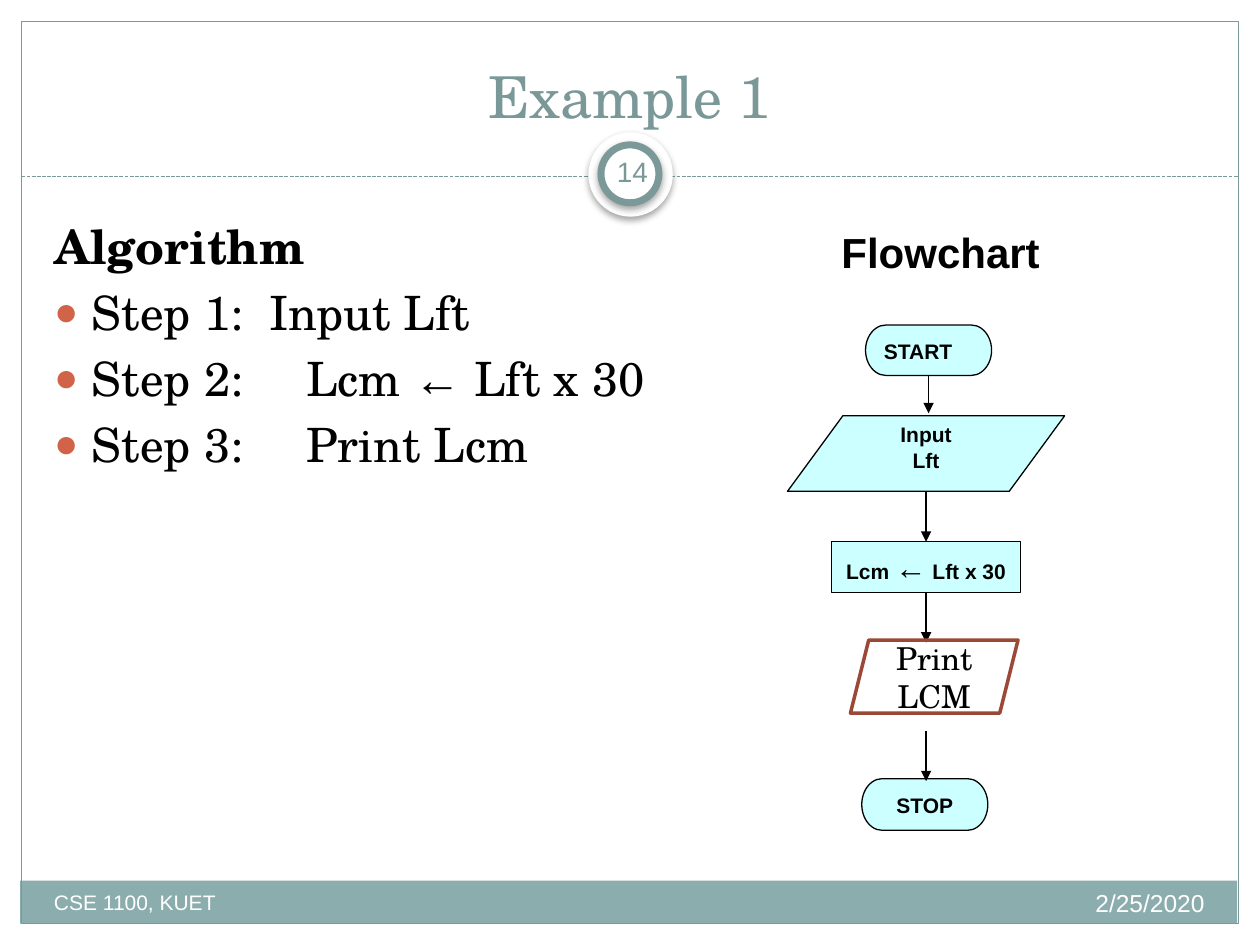
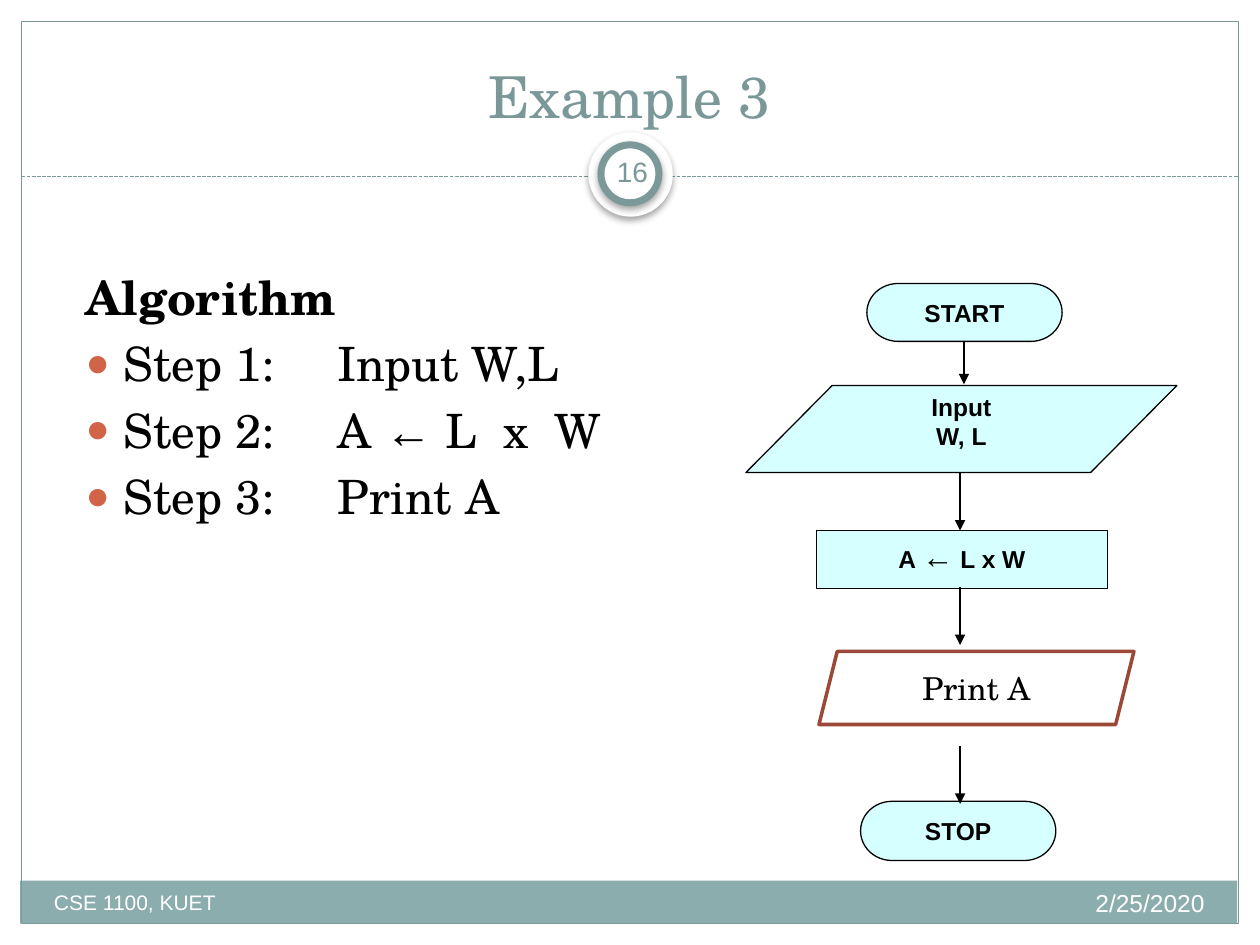
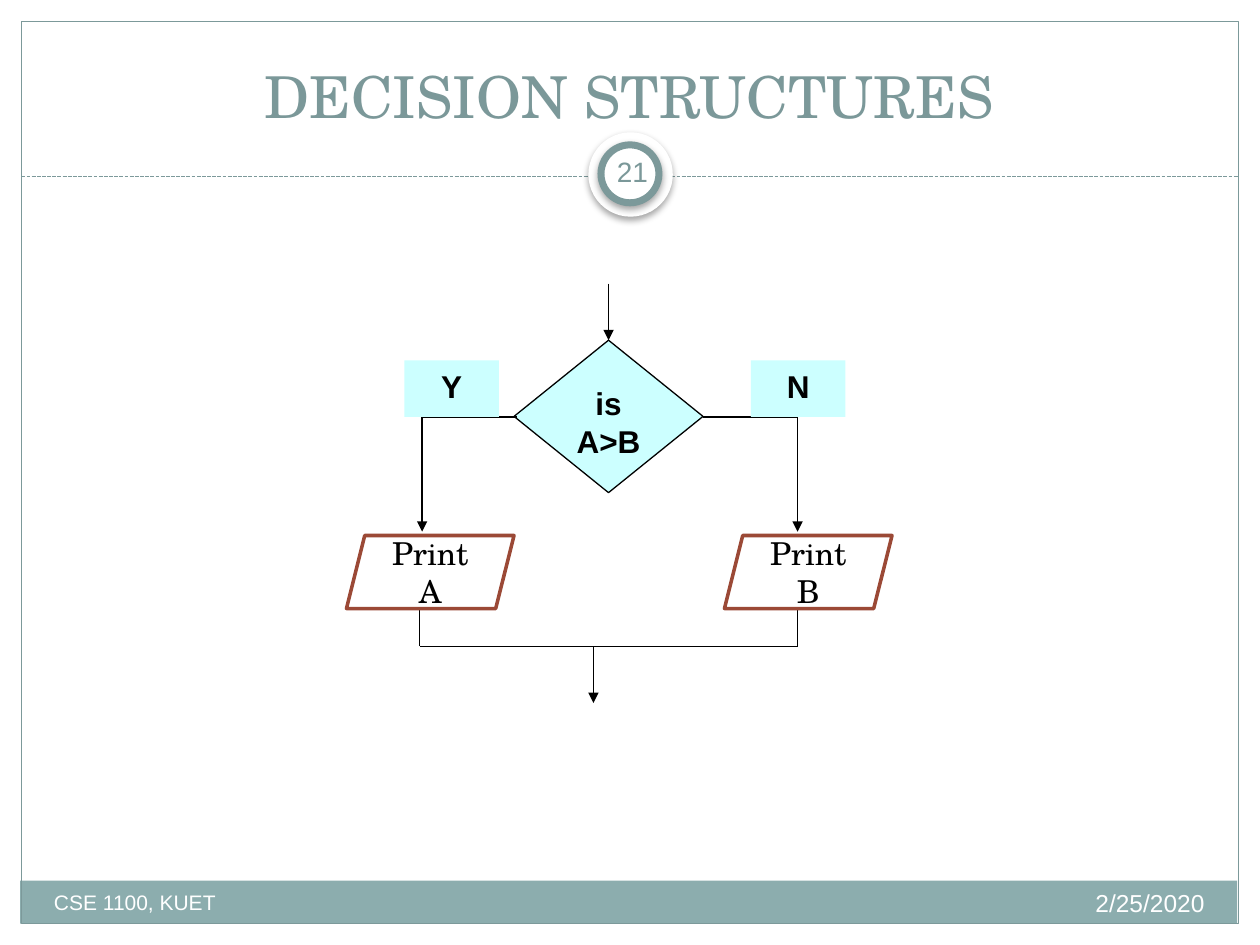
from lxml.etree import SubElement
from pptx import Presentation
from pptx.dml.color import RGBColor
from pptx.enum.dml import MSO_LINE
from pptx.enum.shapes import MSO_CONNECTOR, MSO_SHAPE
from pptx.enum.text import MSO_ANCHOR, MSO_AUTO_SIZE, PP_ALIGN
from pptx.oxml.ns import qn
from pptx.util import Inches, Pt

SERIF = "TeX Gyre Schola"
SANS = "Arial"
BLACK = "000000"
WHITE = "FFFFFF"
FRAME = "7C999A"
TITLE = "7B9899"
BAND = "8CADAE"
BULLET = "D16349"
NODE = "CCFFFF"
PRINT_EDGE = "9B4936"
ASSIGN = "←"


def color(hex_code):
    return RGBColor.from_string(hex_code)


def box(left, top, width, height):
    return [Inches(length) for length in (left, top, width, height)]


def write_text(frame, text, font=SANS, size=12, ink=BLACK, bold=False,
               arrow_size=None, align=PP_ALIGN.CENTER, anchor=MSO_ANCHOR.TOP,
               before=0):
    frame.word_wrap = True
    frame.auto_size = MSO_AUTO_SIZE.NONE
    frame.vertical_anchor = anchor
    for index, line in enumerate(text.split("\n")):
        paragraph = frame.paragraphs[0] if index == 0 else frame.add_paragraph()
        paragraph.alignment = align
        paragraph.space_before = Pt(before)
        for part in line.partition(ASSIGN):
            if not part:
                continue
            is_arrow = part == ASSIGN
            run = paragraph.add_run()
            run.text = part
            run.font.name = SANS if is_arrow else font
            run.font.size = Pt(arrow_size or size) if is_arrow else Pt(size)
            run.font.bold = bold and not is_arrow
            run.font.color.rgb = color(ink)


def add_label(slide, place, text, **style):
    label = slide.shapes.add_textbox(*box(*place))
    write_text(label.text_frame, text, **style)
    return label


def add_block(slide, preset, place, fill=None, edge=None, weight=0.75,
              opacity=100, text="", **style):
    block = slide.shapes.add_shape(preset, *box(*place))
    block.shadow.inherit = False
    if fill:
        block.fill.solid()
        block.fill.fore_color.rgb = color(fill)
        if opacity < 100:
            tint = block.element.spPr.find(qn("a:solidFill")).find(qn("a:srgbClr"))
            SubElement(tint, qn("a:alpha"), val=str(opacity * 1000))
    else:
        block.fill.background()
    if edge:
        block.line.color.rgb = color(edge)
        block.line.width = Pt(weight)
    else:
        block.line.fill.background()
    if text:
        write_text(block.text_frame, text, **style)
    return block


def add_line(slide, start, end, ink=BLACK, arrow=False, dash=None):
    line = slide.shapes.add_connector(
        MSO_CONNECTOR.STRAIGHT, *[Inches(length) for length in (*start, *end)])
    line.line.color.rgb = color(ink)
    line.line.width = Pt(0.75)
    if dash:
        line.line.dash_style = dash
    if arrow:
        SubElement(line.line._get_or_add_ln(), qn("a:tailEnd"), type="triangle")
    SubElement(line.element.spPr, qn("a:effectLst"))
    return line


def add_soft_shadow(block):
    effects = block.element.spPr.find(qn("a:effectLst"))
    shadow = SubElement(effects, qn("a:outerShdw"), blurRad=str(Pt(4)),
                        dist=str(Pt(2)), dir="5400000", rotWithShape="0")
    tint = SubElement(shadow, qn("a:srgbClr"), val=BLACK)
    SubElement(tint, qn("a:alpha"), val="35000")


def add_print_block(slide, place, text):
    add_block(slide, MSO_SHAPE.PARALLELOGRAM, place, edge=PRINT_EDGE, weight=2,
              text=text, font=SERIF, size=18, anchor=MSO_ANCHOR.MIDDLE)


def build_master(presentation, slide):
    panels = [
        add_block(slide, MSO_SHAPE.RECTANGLE, place, fill=fill)
        for place, fill in (
            ((0, 0, 10, 1.52), WHITE),
            ((0, 0, 0.17, 7.5), WHITE),
            ((9.83, 0, 0.17, 7.5), WHITE),
            ((0.16, 6.99, 9.66, 0.34), BAND),
        )
    ]
    border = add_block(slide, MSO_SHAPE.RECTANGLE, (0.17, 0.17, 9.66, 7.16), edge=FRAME)
    divider = add_line(slide, (0.17, 1.4), (9.83, 1.4), ink=FRAME,
                       dash=MSO_LINE.SQUARE_DOT)
    disc = add_block(slide, MSO_SHAPE.OVAL, (4.67, 1.05, 0.67, 0.67), fill=WHITE)
    ring = add_block(slide, MSO_SHAPE.OVAL, (4.77, 1.15, 0.46, 0.46), fill=WHITE,
                     edge=FRAME, weight=4)
    add_soft_shadow(disc)
    add_soft_shadow(ring)
    master_tree = presentation.slide_master.shapes.element
    for part in (*panels, border, divider, disc, ring):
        master_tree.append(part.element)


def start_slide(presentation, layout_index, heading, number):
    slide = presentation.slides.add_slide(presentation.slide_layouts[layout_index])
    title = slide.shapes.title
    title.left, title.top, title.width, title.height = box(0.33, 0.25, 9.33, 0.83)
    write_text(title.text_frame, heading, font=SERIF, size=33, ink=TITLE,
               anchor=MSO_ANCHOR.BOTTOM)
    add_label(slide, (6.33, 7, 3.33, 0.4), "2/25/2020", size=14, ink=WHITE,
              align=PP_ALIGN.RIGHT)
    page = add_label(slide, (4.77, 1.12, 0.5, 0.48), number, size=16, ink=TITLE,
                     anchor=MSO_ANCHOR.MIDDLE)
    page.text_frame.margin_left = page.text_frame.margin_right = Inches(0.05)
    add_label(slide, (0.33, 7.01, 3.92, 0.4), "CSE 1100, KUET", ink=WHITE,
              align=PP_ALIGN.LEFT)
    return slide


def fill_algorithm(slide, place, steps):
    body = slide.placeholders[1]
    body.left, body.top, body.width, body.height = box(*place)
    write_text(body.text_frame, "\n".join(["Algorithm", *steps]), font=SERIF,
               size=27, align=PP_ALIGN.LEFT, before=5.4)
    heading, *items = body.text_frame.paragraphs
    for paragraph in (heading, *items):
        properties = paragraph._p.get_or_add_pPr()
        properties.set("marL", str(Inches(0.3)))
        properties.set("indent", str(Inches(-0.3)))
        if paragraph is heading:
            SubElement(properties, qn("a:buNone"))
            paragraph.runs[0].font.bold = True
        else:
            tint = SubElement(properties, qn("a:buClr"))
            SubElement(tint, qn("a:srgbClr"), val=BULLET)
            SubElement(properties, qn("a:buSzPct"), val="85000")
            SubElement(properties, qn("a:buFont"), typeface=SANS)
            SubElement(properties, qn("a:buChar"), char="●")


def add_flowchart(slide, nodes, arrows, output, size, opacity=100,
                  start_align=PP_ALIGN.CENTER):
    presets = (MSO_SHAPE.FLOWCHART_TERMINATOR, MSO_SHAPE.FLOWCHART_DATA,
               MSO_SHAPE.FLOWCHART_PROCESS, MSO_SHAPE.FLOWCHART_TERMINATOR)
    for preset, (text, place) in zip(presets, nodes):
        align = start_align if text == "START" else PP_ALIGN.CENTER
        add_block(slide, preset, place, fill=NODE, edge=BLACK, opacity=opacity,
                  text=text, size=size, bold=True, arrow_size=18, align=align)
    for x, top, bottom in arrows:
        add_line(slide, (x, top), (x, bottom), arrow=True)
    add_print_block(slide, *output)


def add_decision(slide):
    add_block(slide, MSO_SHAPE.FLOWCHART_DECISION, (4.08, 2.7, 1.5, 1.21),
              fill=NODE, edge=BLACK, text="is\nA>B", size=18, bold=True)
    for start, end, arrow in (
        ((5.58, 3.31), (6.33, 3.31), False),
        ((6.33, 3.31), (6.33, 4.22), True),
        ((3.35, 3.31), (4.1, 3.31), False),
        ((3.35, 3.31), (3.35, 4.22), True),
        ((4.83, 2.25), (4.83, 2.7), True),
        ((3.33, 4.83), (3.33, 5.13), False),
        ((3.33, 5.13), (6.33, 5.13), False),
        ((6.33, 5.13), (6.33, 4.83), False),
        ((4.71, 5.13), (4.71, 5.58), True),
    ):
        add_line(slide, start, end, arrow=arrow)
    for answer, answer_left, output, output_left in (
        ("Y", 3.21, "Print A", 2.75),
        ("N", 5.96, "Print B", 5.75),
    ):
        add_block(slide, MSO_SHAPE.RECTANGLE, (answer_left, 2.86, 0.75, 0.45),
                  fill=NODE, text=answer, size=18, bold=True)
        add_print_block(slide, (output_left, 4.25, 1.33, 0.58), output)


def main():
    presentation = Presentation()
    presentation.slide_width = Inches(10)
    presentation.slide_height = Inches(7.5)

    conversion = start_slide(presentation, 1, "Example 1", "14")
    build_master(presentation, conversion)
    fill_algorithm(conversion, (0.33, 1.67, 9.3, 5), [
        "Step 1:  Input Lft", "Step 2: \tLcm ← Lft x 30", "Step 3: \tPrint Lcm"])
    add_flowchart(
        conversion,
        nodes=[("START", (6.87, 2.58, 1, 0.4)),
               ("Input\nLft", (6.25, 3.3, 2.2, 0.6)),
               ("Lcm ← Lft x 30", (6.6, 4.3, 1.5, 0.4)),
               ("STOP", (6.84, 6.18, 1, 0.41))],
        arrows=[(7.37, 2.98, 3.28), (7.35, 3.9, 4.3), (7.35, 4.7, 5.1),
                (7.35, 5.8, 6.2)],
        output=((6.75, 5.08, 1.33, 0.58), "Print LCM"),
        size=12, start_align=PP_ALIGN.LEFT)
    add_label(conversion, (6.58, 1.75, 2.42, 0.5), "Flowchart", size=24, bold=True,
              align=PP_ALIGN.LEFT, before=12)

    area = start_slide(presentation, 1, "Example 3", "16")
    fill_algorithm(area, (0.58, 2.08, 9, 4.25), [
        "Step 1: \tInput W,L", "Step 2: \tA ← L  x  W", "Step 3: \tPrint A"])
    add_flowchart(
        area,
        nodes=[("START", (6.88, 2.25, 1.55, 0.46)),
               ("Input\nW, L", (5.92, 3.06, 3.42, 0.69)),
               ("A ← L x W", (6.48, 4.21, 2.31, 0.46)),
               ("STOP", (6.83, 6.36, 1.55, 0.47))],
        arrows=[(7.65, 2.71, 3.05), (7.62, 3.75, 4.21), (7.62, 4.66, 5.12),
                (7.62, 5.92, 6.38)],
        output=((6.5, 5.17, 2.5, 0.58), "Print A"),
        size=14, opacity=80)

    decision = start_slide(presentation, 5, "DECISION STRUCTURES", "21")
    add_decision(decision)

    presentation.save("out.pptx")


if __name__ == "__main__":
    main()
